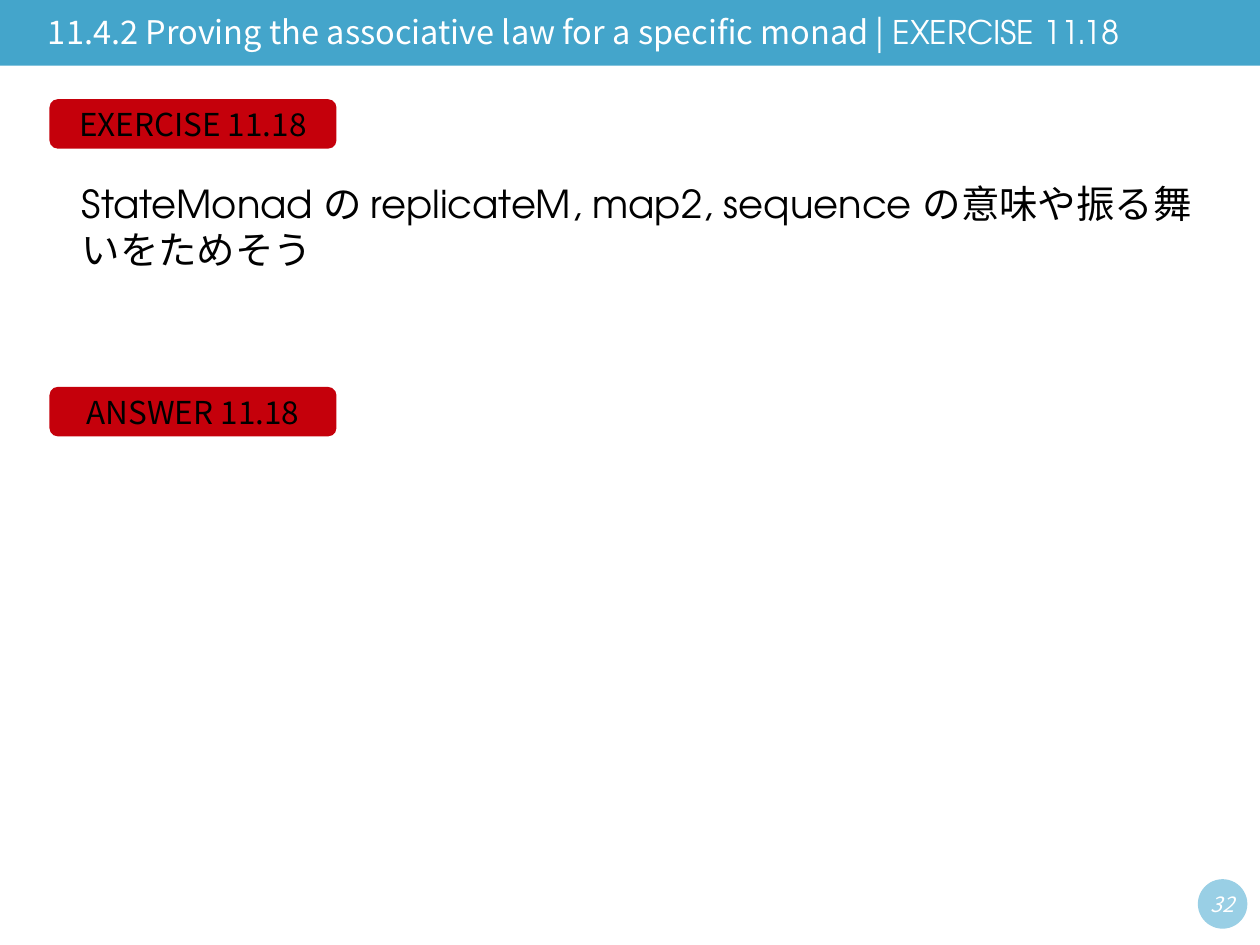
from dataclasses import dataclass

from pptx import Presentation
from pptx.dml.color import RGBColor
from pptx.enum.shapes import MSO_SHAPE as Shape
from pptx.enum.text import MSO_ANCHOR as Anchor, MSO_AUTO_SIZE as AutoSize, PP_ALIGN as Align
from pptx.oxml.ns import qn
from pptx.util import Pt


@dataclass(frozen=True)
class Theme:
    bar: str = "44A5CB"
    badge: str = "99CFE5"
    label: str = "C5000B"
    light: str = "FFFFFF"
    dark: str = "000000"
    sans: str = "Noto Sans CJK JP"
    geometric: str = "TeX Gyre Adventor"
    title_size: float = 18.6
    label_size: float = 18
    body_size: float = 22
    number_size: float = 12


THEME = Theme()


def style_span(span, size, color, font=THEME.sans):
    span.font.size = Pt(size)
    span.font.name = font
    span.font.color.rgb = RGBColor.from_string(color)
    # Japanese characters always use the sans font
    east_asian = span.font._element.makeelement(qn("a:ea"), {"typeface": THEME.sans})
    span.font._element.find(qn("a:latin")).addnext(east_asian)


def add_filled(page, kind, left, top, width, height, color):
    shape = page.shapes.add_shape(kind, Pt(left), Pt(top), Pt(width), Pt(height))
    shape.shadow.inherit = False
    shape.fill.solid()
    shape.fill.fore_color.rgb = RGBColor.from_string(color)
    shape.line.fill.background()
    return shape


def write_centred(shape, text, size, color):
    frame = shape.text_frame
    frame.word_wrap = False
    frame.vertical_anchor = Anchor.MIDDLE
    frame.text = text
    para = frame.paragraphs[0]
    para.alignment = Align.CENTER
    style_span(para.runs[0], size, color)
    return para.runs[0]


def add_label(page, text, top):
    label = add_filled(page, Shape.ROUNDED_RECTANGLE, 28.3, top, 164, 28.3, THEME.label)
    label.adjustments[0] = 0.17
    write_centred(label, text, THEME.label_size, THEME.dark)


def add_page_number(page, number):
    badge = add_filled(page, Shape.OVAL, 684.5, 502.4, 28.3, 28.3, THEME.badge)
    frame = badge.text_frame
    frame.margin_left = frame.margin_right = frame.margin_top = frame.margin_bottom = 0
    write_centred(badge, number, THEME.number_size, THEME.light).font.italic = True


def set_title(page, section, topic):
    title = page.shapes.title
    title.left, title.top, title.width, title.height = Pt(20.2), Pt(3.6), Pt(648), Pt(33)
    page.shapes._spTree.append(title._element)  # bring in front of the bar
    frame = title.text_frame
    frame.auto_size = AutoSize.NONE
    frame.vertical_anchor = Anchor.MIDDLE
    para = frame.paragraphs[0]
    para.alignment = Align.LEFT
    para.line_spacing = 0.8
    for text, font in ((section, THEME.sans), (topic, THEME.geometric)):
        span = para.add_run()
        span.text = text
        style_span(span, THEME.title_size, THEME.light, font)


def add_body(page, text):
    box = page.shapes.add_textbox(Pt(39.6), Pt(99.4), Pt(652.3), Pt(87.8))
    frame = box.text_frame
    frame.word_wrap = True
    frame.text = text
    style_span(frame.paragraphs[0].runs[0], THEME.body_size, THEME.dark, THEME.geometric)


def main():
    deck = Presentation()
    deck.slide_width, deck.slide_height = Pt(720), Pt(540)
    page = deck.slides.add_slide(deck.slide_layouts[5])

    # Header bar, page number and title
    add_filled(page, Shape.RECTANGLE, 0, 0, 720, 37.5, THEME.bar)
    add_page_number(page, "32")
    set_title(page, "11.4.2 Proving the associative law for a specific monad | ", "EXERCISE 11.18")

    # Exercise and answer
    add_label(page, "EXERCISE 11.18", 56.7)
    add_label(page, "ANSWER 11.18", 221.1)
    add_body(page, "StateMonad の replicateM, map2, sequence の意味や振る舞いをためそう")

    deck.save("out.pptx")


if __name__ == "__main__":
    main()
